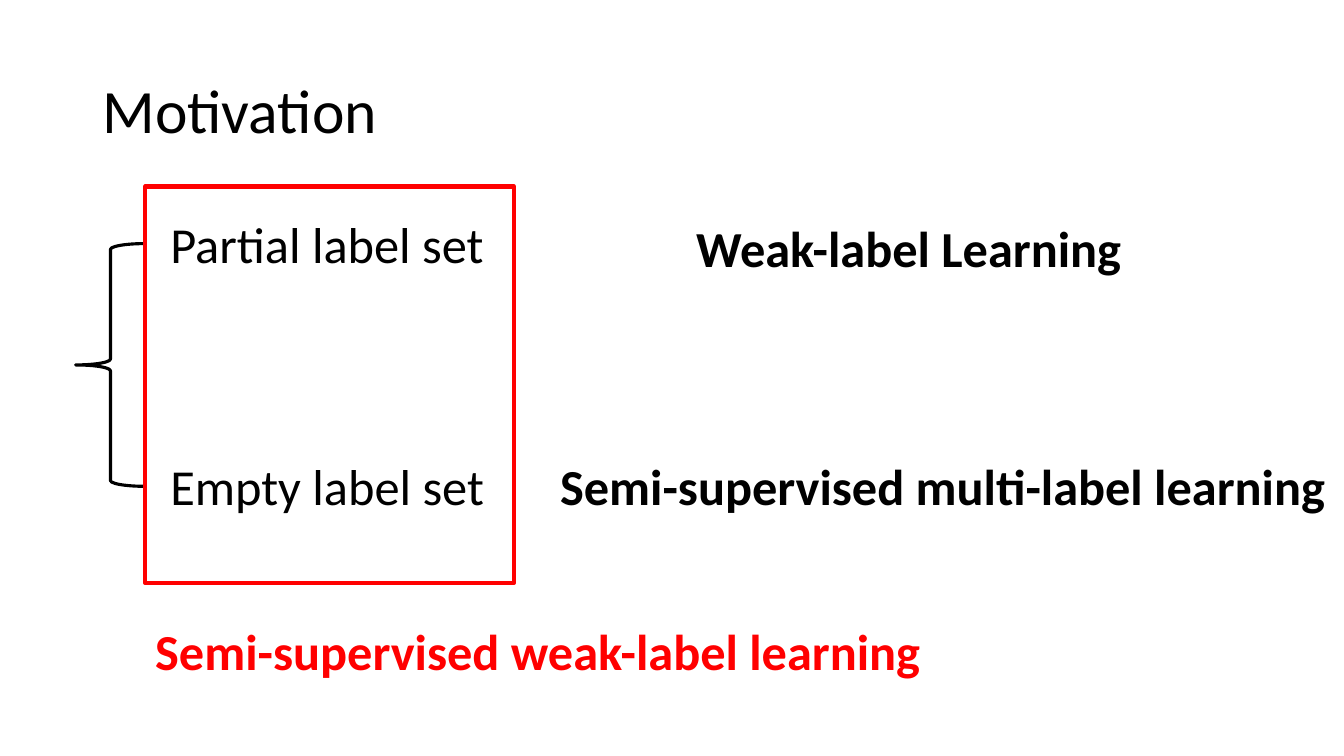
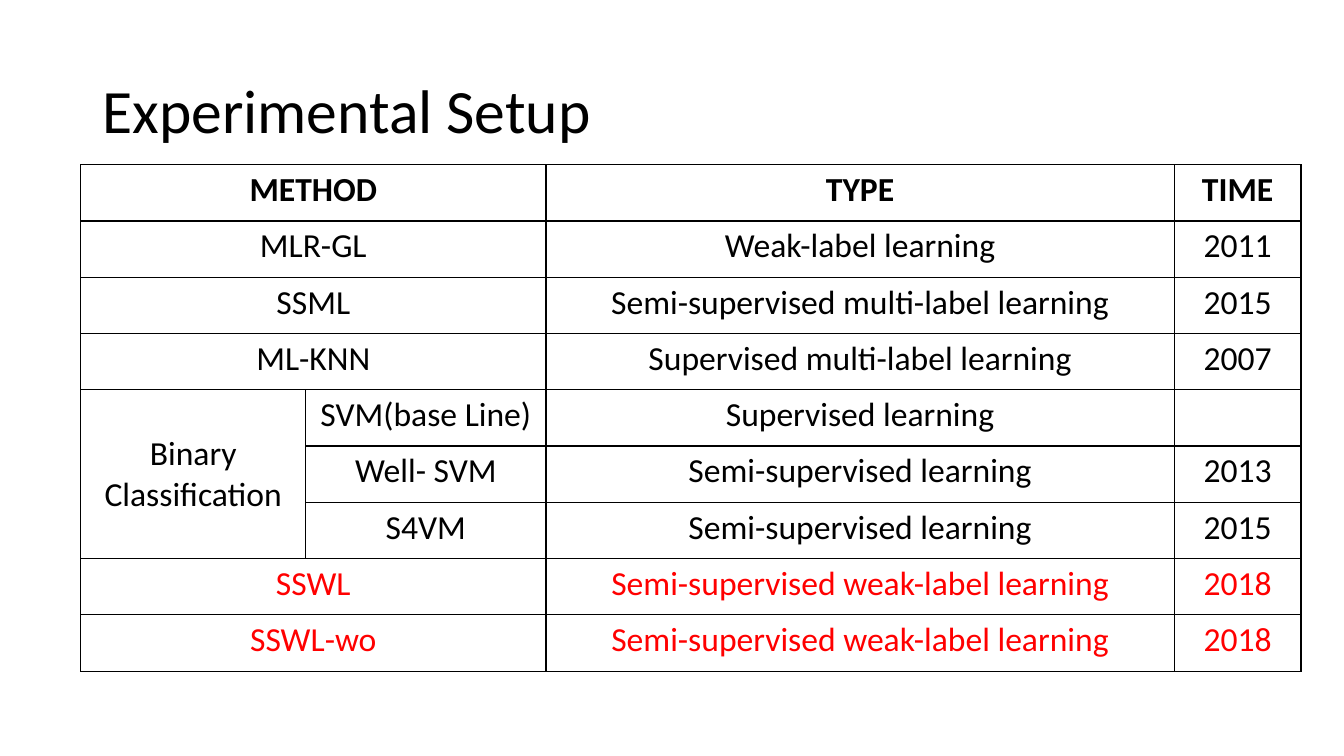
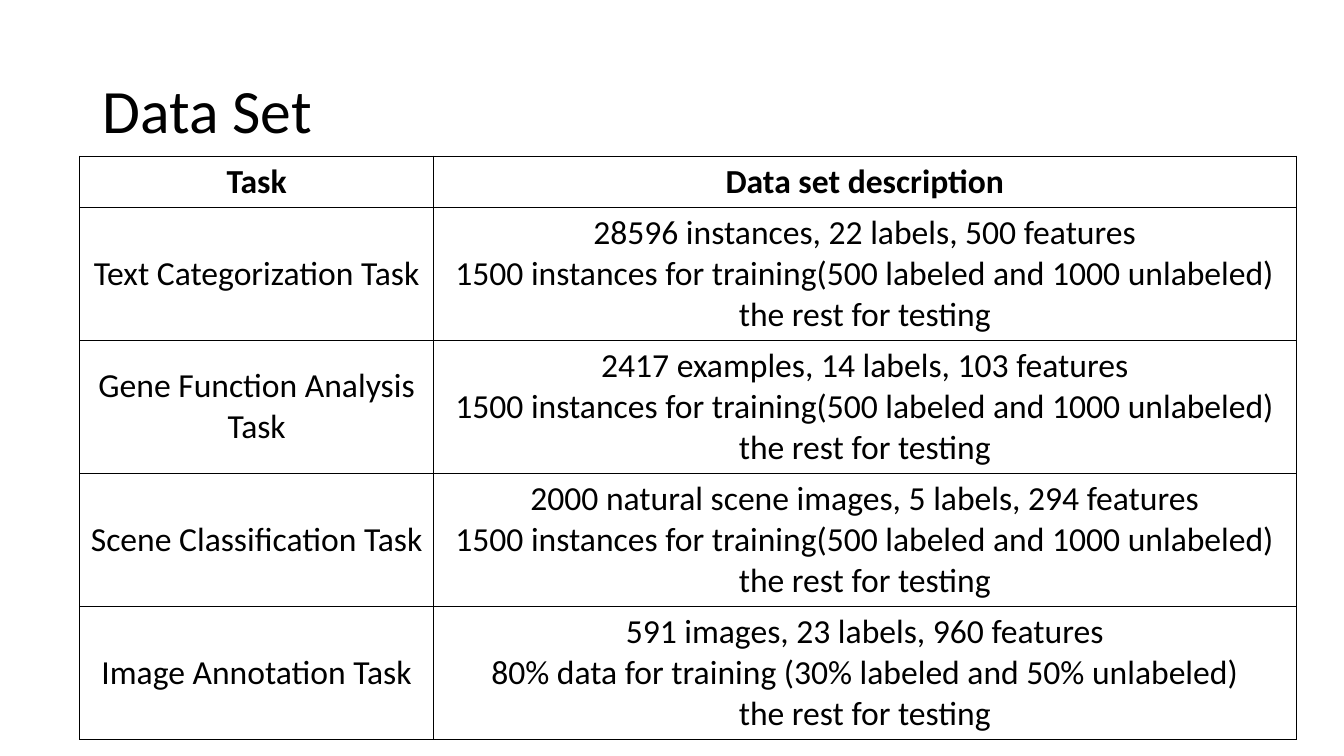
from lxml import etree
from pptx import Presentation
from pptx.dml.color import RGBColor
from pptx.enum.shapes import MSO_SHAPE
from pptx.enum.text import MSO_ANCHOR, MSO_AUTO_SIZE, PP_ALIGN
from pptx.oxml.ns import qn
from pptx.util import Inches, Pt

BLACK = RGBColor(0x00, 0x00, 0x00)
RED = RGBColor(0xFF, 0x00, 0x00)
FONT = "Calibri"
LEFT, CENTER = PP_ALIGN.LEFT, PP_ALIGN.CENTER
TOP, MIDDLE = MSO_ANCHOR.TOP, MSO_ANCHOR.MIDDLE
GROW = MSO_AUTO_SIZE.SHAPE_TO_FIT_TEXT
BRACE, RECT = MSO_SHAPE.LEFT_BRACE, MSO_SHAPE.RECTANGLE

# The slide is a grid of 16 columns by 9 square rows
COLS, ROWS = 16, 9
UNIT = Inches(7.5) / ROWS


def grid(*cells):
    """Turn grid units into slide lengths."""
    return [round(c * UNIT) for c in cells]


def add_grid_table(s, left, top, widths, heights, rows, anchor, red_rows=()):
    """Add a ruled table with a bold first row; None leaves a cell empty."""
    frame = s.shapes.add_table(len(rows), len(widths),
                               *grid(left, top, sum(widths), sum(heights)))
    table = frame.table
    table.first_row = table.horz_banding = False
    for column, width in zip(table.columns, grid(*widths)):
        column.width = width
    for row, height in zip(table.rows, grid(*heights)):
        row.height = height
    for i, texts in enumerate(rows):
        for j, text in enumerate(texts):
            cell = table.cell(i, j)
            tc_pr = cell._tc.get_or_add_tcPr()
            for side in ("a:lnL", "a:lnR", "a:lnT", "a:lnB"):
                ln = etree.SubElement(tc_pr, qn(side), w=str(Pt(1)))
                fill = etree.SubElement(ln, qn("a:solidFill"))
                etree.SubElement(fill, qn("a:srgbClr"), val=str(BLACK))
            cell.fill.background()
            cell.vertical_anchor = anchor
            if text is None:
                continue
            cell.text = text
            style = {"name": FONT, "size": Pt(24), "bold": i == 0}
            for p in cell.text_frame.paragraphs:
                p.alignment = CENTER
                for key, value in style.items():
                    setattr(p.font, key, value)
                p.font.color.rgb = RED if i in red_rows else BLACK
    return table


prs = Presentation()
prs.slide_width, prs.slide_height = grid(COLS, ROWS)

# Slides with their shared title style
slides = []
for title in ("Motivation", "Experimental Setup", "Data Set"):
    s = prs.slides.add_slide(prs.slide_layouts[5])
    sp = s.shapes.title
    sp.left, sp.top, sp.width, sp.height = grid(1.1, 0.48, 13.8, 1.74)
    sp.text_frame.text = title
    sp.text_frame.vertical_anchor = MIDDLE
    p = sp.text_frame.paragraphs[0]
    p.alignment, p.line_spacing = LEFT, 0.9
    p.font.name, p.font.size = FONT, Pt(44)
    p.font.color.rgb = BLACK
    slides.append(s)
motivation, setup, data_set = slides

# Motivation: brace and frame around the label sets
for kind, box, color, weight in (
    (BRACE, (0.9, 2.9, 0.83, 2.89), BLACK, 2.25),
    (RECT, (1.73, 2.22, 4.39, 4.72), RED, 3),
):
    sp = motivation.shapes.add_shape(kind, *grid(*box))
    sp.shadow.inherit = False
    sp.fill.background()
    sp.line.color.rgb = color
    sp.line.width = Pt(weight)

# Motivation: label sets and the learning type of each
for text, box, wrap, bold, color in (
    ("Partial label set", (1.91, 2.48, 4.01, 0.85), False, False, BLACK),
    ("Empty label set", (1.91, 5.36, 4.01, 0.85), False, False, BLACK),
    ("Weak-label Learning", (8.17, 2.52, 5.36, 0.85), False, True, BLACK),
    ("Semi-supervised multi-label learning", (6.55, 5.36, 9.46, 0.85),
     True, True, BLACK),
    ("Semi-supervised weak-label learning", (1.73, 7.32, 9.46, 0.85),
     True, True, RED),
):
    tf = motivation.shapes.add_textbox(*grid(*box)).text_frame
    tf.word_wrap, tf.auto_size = wrap, GROW
    tf.text = text
    font = tf.paragraphs[0].font
    for key, value in {"name": FONT, "size": Pt(36), "bold": bold}.items():
        setattr(font, key, value)
    font.color.rgb = color

# Experimental setup: compared methods
methods = [
    ("METHOD", None, "TYPE", "TIME"),
    ("MLR-GL", None, "Weak-label learning", "2011"),
    ("SSML", None, "Semi-supervised multi-label learning", "2015"),
    ("ML-KNN", None, "Supervised multi-label learning", "2007"),
    ("Binary Classification", "SVM(base Line)", "Supervised learning", None),
    (None, "Well- SVM", "Semi-supervised learning", "2013"),
    (None, "S4VM", "Semi-supervised learning", "2015"),
    ("SSWL", None, "Semi-supervised weak-label learning", "2018"),
    ("SSWL-wo", None, "Semi-supervised weak-label learning", "2018"),
]
table = add_grid_table(setup, 0.96, 1.96, (2.68, 2.86, 7.48, 1.51),
                       [0.67] * len(methods), methods, TOP, red_rows=(7, 8))
for i, (method, variant, *rest) in enumerate(methods):
    if method and not variant:
        table.cell(i, 0).merge(table.cell(i, 1))
table.cell(4, 0).merge(table.cell(6, 0))
table.cell(4, 0).vertical_anchor = MIDDLE

# Data set: one row for each task
SPLIT = "1500 instances for training(500 labeled and 1000 unlabeled)"
tasks = [("Task", "Data set description")]
for task, size, split in (
    ("Text Categorization Task",
     "28596 instances, 22 labels, 500 features", SPLIT),
    ("Gene Function Analysis Task",
     "2417 examples, 14 labels, 103 features", SPLIT),
    ("Scene Classification Task",
     "2000 natural scene images, 5 labels, 294 features", SPLIT),
    ("Image Annotation Task", "591 images, 23 labels, 960 features",
     "80% data for training (30% labeled and 50% unlabeled)"),
):
    tasks.append((task, "\n".join((size, split, "the rest for testing"))))
add_grid_table(data_set, 0.95, 1.86, (4.21, 10.27), [0.6] + [1.58] * 4,
               tasks, MIDDLE)

prs.save("out.pptx")
